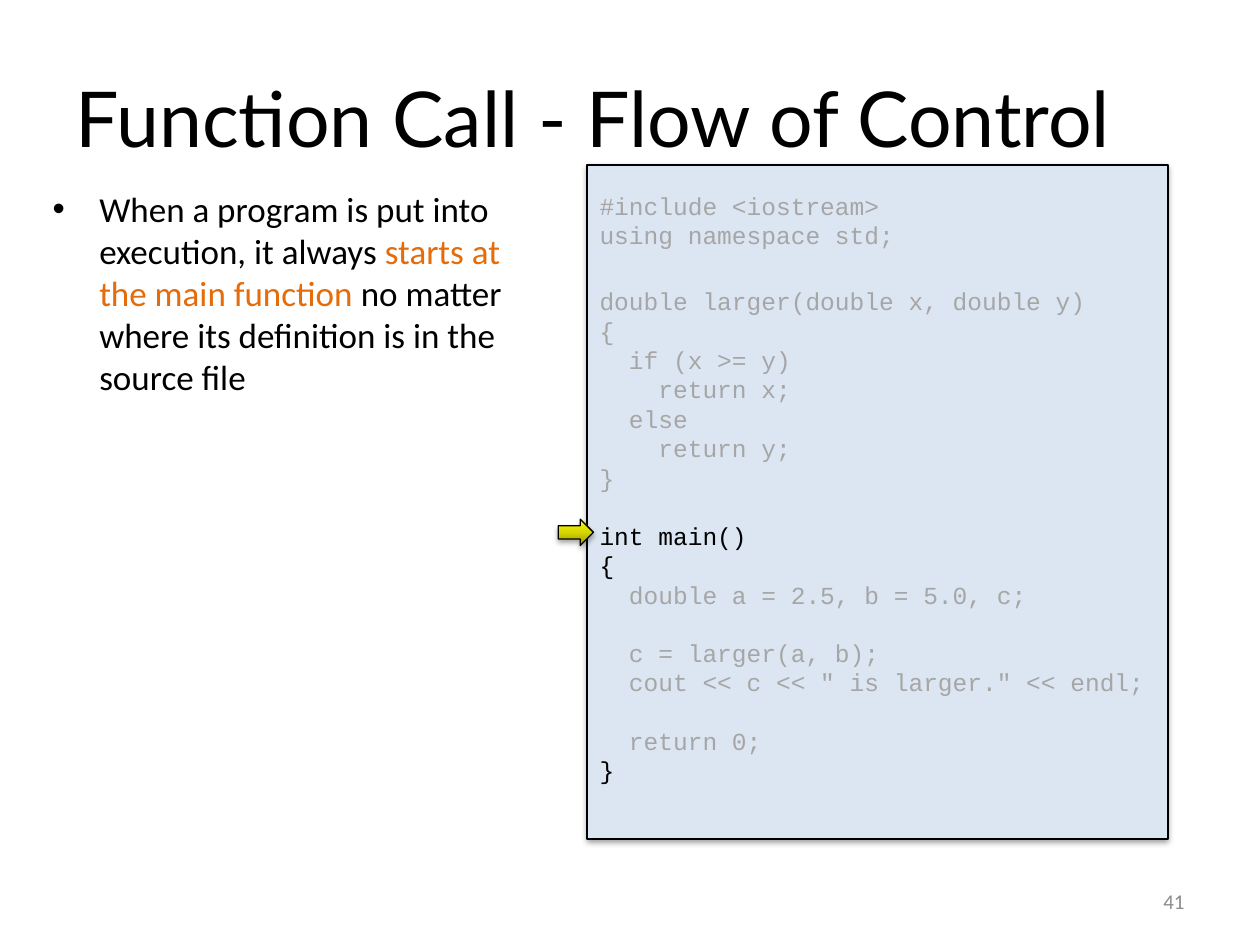
from copy import deepcopy
from lxml.etree import SubElement
from pptx import Presentation
from pptx.dml.color import RGBColor
from pptx.enum.shapes import MSO_SHAPE
from pptx.enum.text import MSO_ANCHOR, PP_ALIGN
from pptx.oxml.ns import qn
from pptx.util import Inches, Pt

BLACK, GRAY, ORANGE = "000000", "A6A6A6", "E46C0A"
TITLE = "Function Call - Flow of Control"
POINT = [
    ("When a program is put into execution, it always ", BLACK),
    ("starts at the main function ", ORANGE),
    ("no matter where its definition is in the source file", BLACK),
]
CODE = [
    (0, [("#include <iostream>", GRAY), ("using namespace std;", GRAY)]),
    (21, [
        ("double larger(double x, double y)", GRAY),
        ("{", GRAY),
        ("  if (x >= y)", GRAY),
        ("    return x;", GRAY),
        ("  else", GRAY),
        ("    return y;", GRAY),
        ("}", GRAY),
    ]),
    (16.5, [
        ("int main()", BLACK),
        ("{", BLACK),
        ("  double a = 2.5, b = 5.0, c;", GRAY),
    ]),
    (16.5, [
        ("  c = larger(a, b);", GRAY),
        ('  cout << c << " is larger." << endl;', GRAY),
    ]),
    (16.5, [("  return 0;", GRAY), ("}", BLACK)]),
]
ARROW_STOPS = [(0, "979700"), (0.5, "D6D600"), (1, "FFFF00")]


def rgb(value):
    return RGBColor.from_string(value)


def box(*lengths):
    return [Inches(v) for v in lengths]


def add_run(p, text, font, size, color):
    r = p.add_run()
    r.text = text
    r.font.name, r.font.size = font, Pt(size)
    r.font.color.rgb = rgb(color)


def add_text(s, *lengths):
    tf = s.shapes.add_textbox(*box(*lengths)).text_frame
    tf.word_wrap = True
    return tf


def add_shadow(sp, alpha, blur, dist):
    effects = SubElement(sp._element.spPr, qn("a:effectLst"))
    shadow = SubElement(effects, qn("a:outerShdw"), blurRad=str(Pt(blur)),
                        dist=str(Pt(dist)), dir="5400000", rotWithShape="0")
    color = SubElement(shadow, qn("a:srgbClr"), val=BLACK)
    SubElement(color, qn("a:alpha"), val=str(alpha * 1000))


def add_outlined(s, kind, *lengths):
    sp = s.shapes.add_shape(kind, *box(*lengths))
    sp.line.color.rgb = rgb(BLACK)
    sp.line.width = Pt(0.75)
    return sp


def add_title(s):
    sp = s.shapes.title
    sp.left, sp.top, sp.width, sp.height = box(0.5, 0.3, 9, 1.25)
    tf = sp.text_frame
    tf.vertical_anchor = MSO_ANCHOR.MIDDLE
    p = tf.paragraphs[0]
    p.alignment = PP_ALIGN.LEFT
    add_run(p, TITLE, "Lato", 44, BLACK)


def add_point(s):
    p = add_text(s, 0.31, 1.44, 4.06, 5.37).paragraphs[0]
    pPr = p._p.get_or_add_pPr()
    pPr.set("marL", str(Inches(0.38)))
    pPr.set("indent", str(Inches(-0.37)))
    SubElement(pPr, qn("a:buFont"), typeface="Arial")
    SubElement(pPr, qn("a:buChar"), char="•")
    for text, color in POINT:
        add_run(p, text, "Calibri", 20, color)


def add_code(s):
    sp = add_outlined(s, MSO_SHAPE.RECTANGLE, 4.66, 1.31, 4.61, 5.35)
    sp.fill.solid()
    sp.fill.fore_color.rgb = rgb("DCE6F2")
    add_shadow(sp, 38, 3.1, 1.6)
    tf = sp.text_frame
    tf.word_wrap = True
    tf.vertical_anchor = MSO_ANCHOR.MIDDLE
    tf.margin_bottom = Inches(0.28)
    p = tf.paragraphs[0]
    for gap, lines in CODE:
        for i, (text, color) in enumerate(lines):
            if gap or i:
                p = tf.add_paragraph()
                p.space_before = Pt(0 if i else gap)
            p.alignment = PP_ALIGN.LEFT
            add_run(p, text, "Courier New", 14, color)


def add_arrow(s):
    sp = add_outlined(s, MSO_SHAPE.RIGHT_ARROW, 4.43, 4.12, 0.28, 0.21)
    sp.fill.gradient()
    sp.fill.gradient_angle = 90
    stops = sp._element.spPr.find(qn("a:gradFill")).find(qn("a:gsLst"))
    stops.insert(1, deepcopy(stops[0]))
    for stop, (position, color) in zip(sp.fill.gradient_stops, ARROW_STOPS):
        stop.position = position
        stop.color.rgb = rgb(color)
    add_shadow(sp, 35, 3.1, 1.8)


def add_number(s):
    tf = add_text(s, 7.17, 6.95, 2.33, 0.4)
    tf.vertical_anchor = MSO_ANCHOR.MIDDLE
    p = tf.paragraphs[0]
    p.alignment = PP_ALIGN.RIGHT
    add_run(p, "41", "Calibri", 12, "8B8B8B")


def main():
    prs = Presentation()
    prs.slide_width, prs.slide_height = box(10, 7.5)
    s = prs.slides.add_slide(prs.slide_layouts[5])
    for add in (add_title, add_point, add_code, add_arrow, add_number):
        add(s)
    prs.save("out.pptx")


if __name__ == "__main__":
    main()
